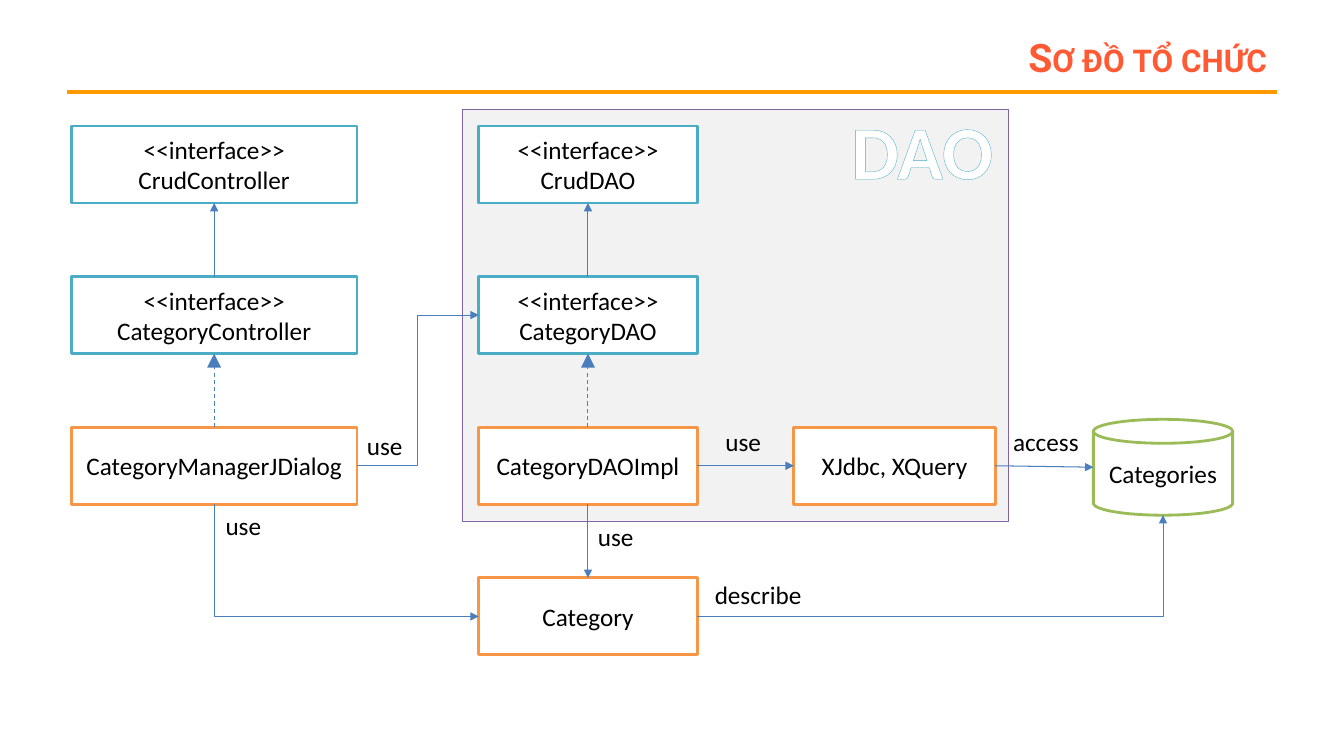
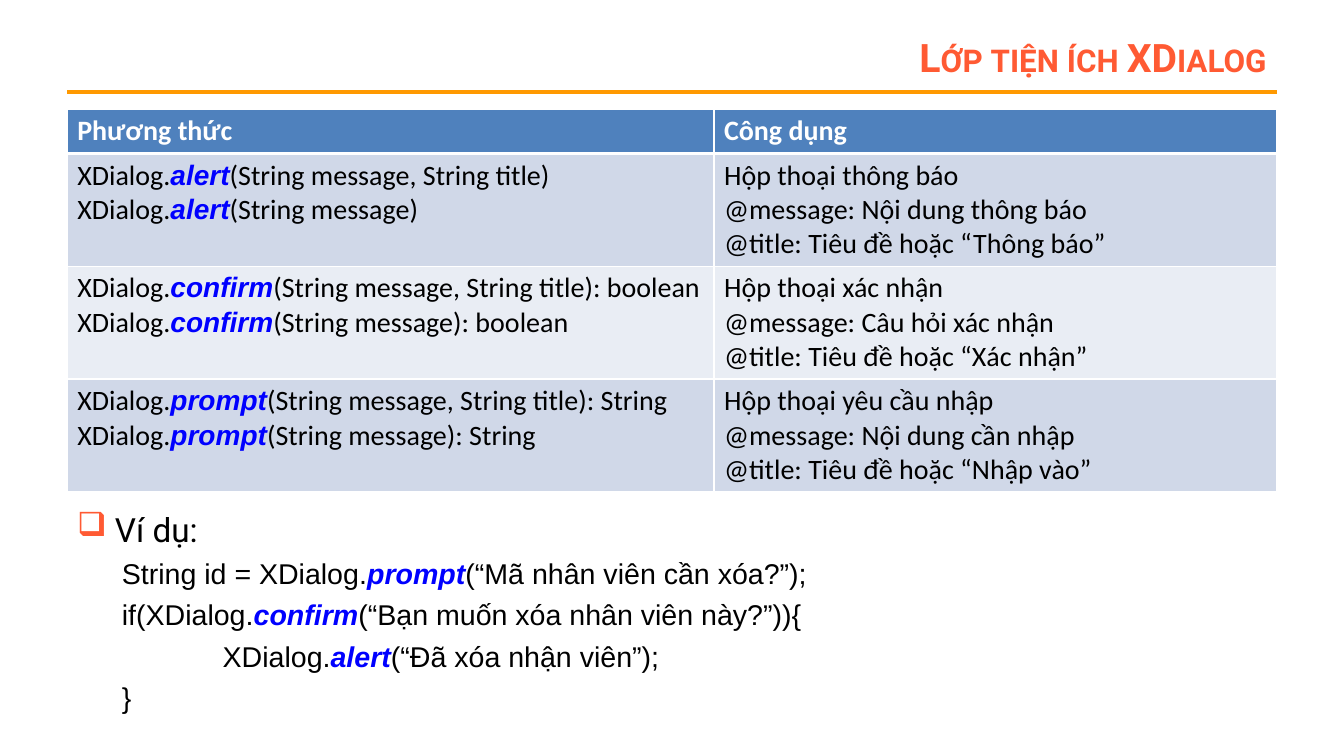
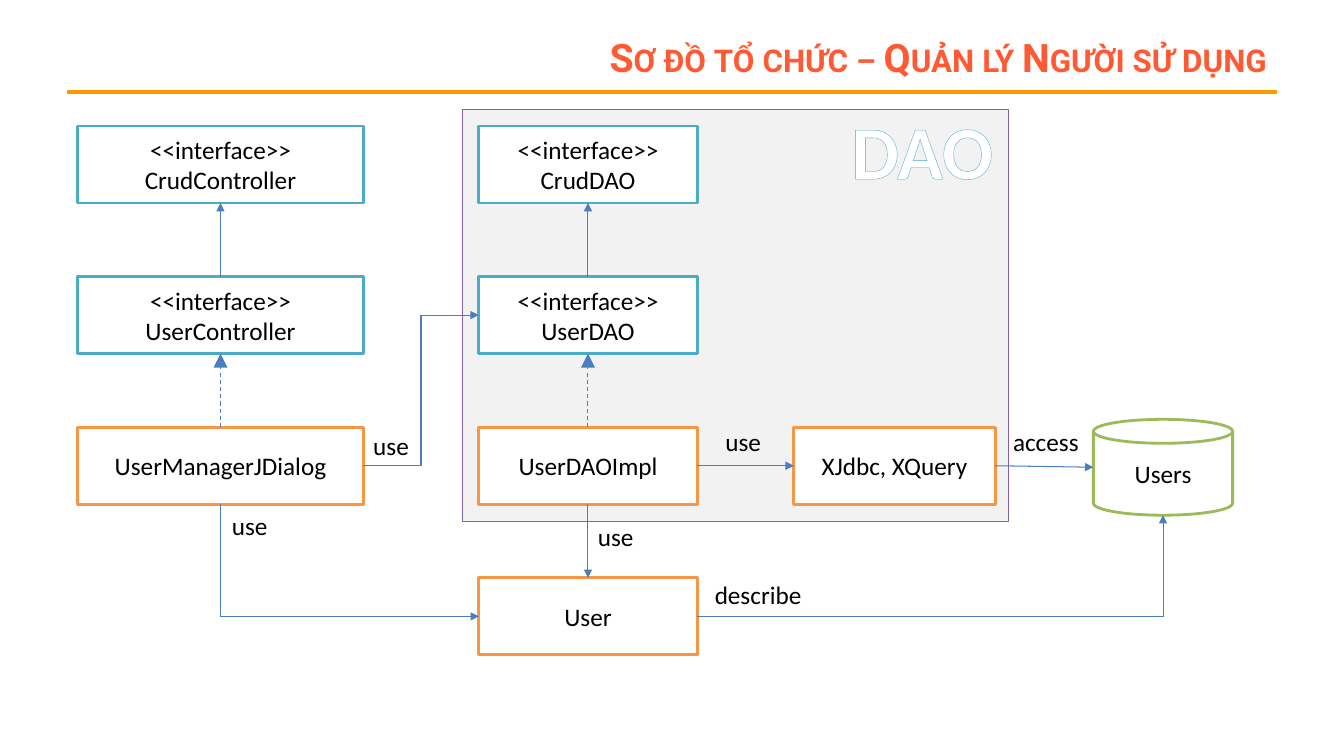
"""Build three slides: two DAO class diagrams and a dialog helper reference."""

import enum
from dataclasses import dataclass
from typing import NamedTuple

import lxml.etree
import pptx
import pptx.dml.color
import pptx.enum.dml
import pptx.enum.shapes
import pptx.enum.text
import pptx.oxml.ns
import pptx.presentation
import pptx.shapes.connector
import pptx.slide
import pptx.table
import pptx.text.text
import pptx.util

Pt = pptx.util.Pt
RGBColor = pptx.dml.color.RGBColor
Shapes = pptx.enum.shapes.MSO_SHAPE
Align = pptx.enum.text.PP_ALIGN
qn = pptx.oxml.ns.qn

BLACK = RGBColor(0x00, 0x00, 0x00)
WHITE = RGBColor(0xFF, 0xFF, 0xFF)
TITLE_RED = RGBColor(0xFF, 0x5A, 0x33)
RULE_ORANGE = RGBColor(0xFF, 0x99, 0x00)
INTERFACE_TEAL = RGBColor(0x4B, 0xAC, 0xC6)
CLASS_ORANGE = RGBColor(0xF7, 0x96, 0x46)
TABLE_GREEN = RGBColor(0x9B, 0xBB, 0x59)
PANEL_GREY = RGBColor(0xF2, 0xF2, 0xF2)
PANEL_PURPLE = RGBColor(0x80, 0x64, 0xA2)
ARROW_BLUE = RGBColor(0x4B, 0x7E, 0xBC)
METHOD_BLUE = RGBColor(0x00, 0x00, 0xFF)
HEADER_BLUE = RGBColor(0x4F, 0x81, 0xBD)
BAND_COLORS = (RGBColor(0xD0, 0xD8, 0xE8), RGBColor(0xE9, 0xED, 0xF4))

SLIDE_WIDTH, SLIDE_HEIGHT = 960, 540
CONTENT_LEFT, CONTENT_WIDTH = 48, 864
FIRST_ROW_TOP, ROW_STEP, BOX_HEIGHT = 90, 107.6, 55
INTERFACE = "<<interface>>"


@dataclass(frozen=True)
class TextStyle:
    font: str
    size: float
    color: RGBColor = BLACK
    bold: bool = False
    italic: bool = False
    small_caps: bool = False
    outline: RGBColor | None = None


TITLE_STYLE = TextStyle("Roboto", 28, TITLE_RED, bold=True, small_caps=True)
DIAGRAM_STYLE = TextStyle("Calibri", 18)
PANEL_STYLE = TextStyle("Calibri", 54, WHITE, bold=True, outline=INTERFACE_TEAL)
HEADER_STYLE = TextStyle("Calibri", 20, WHITE, bold=True)
CELL_STYLE = TextStyle("Calibri", 20)
CELL_METHOD_STYLE = TextStyle("Arial", 20, METHOD_BLUE, bold=True, italic=True)
EXAMPLE_STYLE = TextStyle("Roboto", 23.8)
CODE_STYLE = TextStyle("Arial", 20.4)
CODE_METHOD_STYLE = TextStyle("Arial", 20.4, METHOD_BLUE, bold=True, italic=True)


class Segment(NamedTuple):
    text: str
    style: TextStyle


Line = list[Segment]


class Point(NamedTuple):
    x: float
    y: float


class Box(NamedTuple):
    left: float
    top: float
    width: float
    height: float

    def anchor(self, across: float, down: float) -> Point:
        return Point(self.left + across * self.width, self.top + down * self.height)

    @property
    def north(self) -> Point:
        return self.anchor(0.5, 0)

    @property
    def south(self) -> Point:
        return self.anchor(0.5, 1)

    @property
    def west(self) -> Point:
        return self.anchor(0, 0.5)

    @property
    def east(self) -> Point:
        return self.anchor(1, 0.5)

    def lengths(self) -> tuple[pptx.util.Length, ...]:
        return tuple(Pt(value) for value in self)


class Route(enum.Enum):
    STRAIGHT = "line"
    ZIGZAG = "bentConnector3"
    ACROSS_THEN_UP = "bentConnector2"
    DOWN_THEN_ACROSS = "bentConnector2 turned"


class Node(NamedTuple):
    box: Box
    lines: tuple[str, ...]
    border: RGBColor
    preset: Shapes = Shapes.RECTANGLE


class Arrow(NamedTuple):
    start: Point
    end: Point
    route: Route = Route.STRAIGHT
    dashed: bool = False


class Label(NamedTuple):
    text: str
    left: float
    top: float
    width: float = 40


class Diagram(NamedTuple):
    title: str
    entity: str
    table: str
    left: float


class DialogMethod(NamedTuple):
    name: str
    returns: str
    purpose: str
    message: str
    default_title: str


DIAGRAMS = (
    Diagram("Sơ đồ tổ chức", "Category", "Categories", 51),
    Diagram("Sơ đồ tổ chức – Quản lý Người sử dụng", "User", "Users", 55.5),
)
DIALOG_METHODS = (
    DialogMethod("alert", "", "thông báo", "Nội dung thông báo", "Thông báo"),
    DialogMethod("confirm", ": boolean", "xác nhận", "Câu hỏi xác nhận", "Xác nhận"),
    DialogMethod("prompt", ": String", "yêu cầu nhập", "Nội dung cần nhập", "Nhập vào"),
)


def add_run(paragraph: pptx.text.text._Paragraph, segment: Segment) -> None:
    style = segment.style
    run = paragraph.add_run()
    run.text = segment.text
    run.font.name = style.font
    run.font.size = Pt(style.size)
    run.font.bold = style.bold
    run.font.italic = style.italic
    run.font.color.rgb = style.color
    properties = run._r.get_or_add_rPr()
    if style.small_caps:
        properties.set("cap", "small")
    if style.outline is not None:
        outline = lxml.etree.Element(qn("a:ln"), w=str(Pt(0.8)))
        add_solid_fill(outline, style.outline)
        properties.insert(0, outline)


def add_solid_fill(parent: lxml.etree._Element, color: RGBColor) -> None:
    fill = lxml.etree.SubElement(parent, qn("a:solidFill"))
    lxml.etree.SubElement(fill, qn("a:srgbClr"), val=str(color))


def write_lines(
    frame: pptx.text.text.TextFrame, lines: list[Line], alignment: Align = Align.LEFT
) -> None:
    for index, line in enumerate(lines):
        paragraph = frame.add_paragraph() if index else frame.paragraphs[0]
        paragraph.alignment = alignment
        for segment in line:
            add_run(paragraph, segment)


def add_text(
    slide: pptx.slide.Slide,
    box: Box,
    lines: list[Line],
    alignment: Align = Align.LEFT,
    wrap: bool = False,
) -> pptx.text.text.TextFrame:
    frame = slide.shapes.add_textbox(*box.lengths()).text_frame
    frame.word_wrap = wrap
    if not wrap:
        frame.auto_size = pptx.enum.text.MSO_AUTO_SIZE.SHAPE_TO_FIT_TEXT
    write_lines(frame, lines, alignment)
    return frame


def add_node(
    slide: pptx.slide.Slide, node: Node, fill: RGBColor = WHITE, border_width: float = 2
) -> None:
    shape = slide.shapes.add_shape(node.preset, *node.box.lengths())
    shape.shadow.inherit = False
    shape.fill.solid()
    shape.fill.fore_color.rgb = fill
    shape.line.color.rgb = node.border
    shape.line.width = Pt(border_width)
    shape.text_frame.vertical_anchor = pptx.enum.text.MSO_ANCHOR.MIDDLE
    lines = [[Segment(text, DIAGRAM_STYLE)] for text in node.lines]
    write_lines(shape.text_frame, lines, Align.CENTER)


def add_line(
    slide: pptx.slide.Slide, start: Point, end: Point, color: RGBColor, width: float, bent: bool = False
) -> pptx.shapes.connector.Connector:
    kinds = pptx.enum.shapes.MSO_CONNECTOR
    kind = kinds.ELBOW if bent else kinds.STRAIGHT
    connector = slide.shapes.add_connector(kind, *(Pt(value) for value in (*start, *end)))
    connector.line.color.rgb = color
    connector.line.width = Pt(width)
    lxml.etree.SubElement(connector.element.spPr, qn("a:effectLst"))
    return connector


def add_arrow(slide: pptx.slide.Slide, arrow: Arrow) -> None:
    start, end = arrow.start, arrow.end
    turned = arrow.route is Route.DOWN_THEN_ACROSS
    if turned:
        middle = Point((start.x + end.x) / 2, (start.y + end.y) / 2)
        reach = Point((end.y - start.y) / 2, (end.x - start.x) / 2)
        start = Point(middle.x - reach.x, middle.y - reach.y)
        end = Point(middle.x + reach.x, middle.y + reach.y)
    bent = arrow.route is not Route.STRAIGHT
    connector = add_line(slide, start, end, ARROW_BLUE, 0.75, bent)
    properties = connector.element.spPr
    if turned:
        properties.xfrm.set("rot", str(270 * 60000))
        properties.xfrm.set("flipH", "1")
    if turned or arrow.route is Route.ACROSS_THEN_UP:
        properties.find(qn("a:prstGeom")).set("prst", Route.ACROSS_THEN_UP.value)
    if arrow.dashed:
        connector.line.dash_style = pptx.enum.dml.MSO_LINE.DASH
    size = "lg" if arrow.dashed else "med"
    lxml.etree.SubElement(
        connector.get_or_add_ln(), qn("a:tailEnd"), type="triangle", w=size, len=size
    )


def add_titled_slide(presentation: pptx.presentation.Presentation, title: str) -> pptx.slide.Slide:
    slide = presentation.slides.add_slide(presentation.slide_layouts[6])
    right = CONTENT_LEFT + CONTENT_WIDTH
    add_line(slide, Point(CONTENT_LEFT, 66), Point(right, 66), RULE_ORANGE, 3)
    box = Box(176, 21.5, right - 176, 38)
    frame = add_text(slide, box, [[Segment(title, TITLE_STYLE)]], Align.RIGHT, wrap=True)
    frame.vertical_anchor = pptx.enum.text.MSO_ANCHOR.MIDDLE
    return slide


def add_diagram_slide(presentation: pptx.presentation.Presentation, diagram: Diagram) -> None:
    slide = add_titled_slide(presentation, diagram.title)
    entity = diagram.entity
    tops = [FIRST_ROW_TOP + ROW_STEP * row for row in range(4)]
    crud_controller, controller, manager = (
        Box(diagram.left, top, 204, BOX_HEIGHT) for top in tops[:3]
    )
    crud_dao, dao, dao_class, entity_class = (Box(342, top, 156, BOX_HEIGHT) for top in tops)
    query = Box(567, tops[2], 144, BOX_HEIGHT)
    database = Box(781, 299.5, 99.5, 68.5)

    add_node(slide, Node(Box(330, 78, 390, 294), (), PANEL_PURPLE), PANEL_GREY, 0.25)
    add_text(slide, Box(600.5, 70.5, 116.5, 72.5), [[Segment("DAO", PANEL_STYLE)]], Align.CENTER)
    nodes = (
        Node(crud_controller, (INTERFACE, "CrudController"), INTERFACE_TEAL),
        Node(controller, (INTERFACE, f"{entity}Controller"), INTERFACE_TEAL),
        Node(manager, (f"{entity}ManagerJDialog",), CLASS_ORANGE),
        Node(crud_dao, (INTERFACE, "CrudDAO"), INTERFACE_TEAL),
        Node(dao, (INTERFACE, f"{entity}DAO"), INTERFACE_TEAL),
        Node(dao_class, (f"{entity}DAOImpl",), CLASS_ORANGE),
        Node(entity_class, (entity,), CLASS_ORANGE),
        Node(query, ("XJdbc, XQuery",), CLASS_ORANGE),
        Node(database, (diagram.table,), TABLE_GREEN, Shapes.CAN),
    )
    arrows = (
        Arrow(controller.north, crud_controller.south),
        Arrow(manager.north, controller.south, dashed=True),
        Arrow(dao.north, crud_dao.south),
        Arrow(dao_class.north, dao.south, dashed=True),
        Arrow(dao_class.south, entity_class.north),
        Arrow(dao_class.east, query.west),
        Arrow(query.east, database.west),
        Arrow(manager.east, dao.west, Route.ZIGZAG),
        Arrow(manager.south, entity_class.west, Route.DOWN_THEN_ACROSS),
        Arrow(entity_class.east, database.south, Route.ACROSS_THEN_UP),
    )
    labels = (
        Label("use", manager.east.x, 304),
        Label("use", manager.south.x + 1, 361),
        Label("use", dao_class.south.x, 368.5),
        Label("use", 511, 301),
        Label("describe", 503.5, 410.5, 77),
        Label("access", 716.5, 301, 62),
    )
    for node in nodes:
        add_node(slide, node)
    for arrow in arrows:
        add_arrow(slide, arrow)
    for label in labels:
        box = Box(label.left, label.top, label.width, 29)
        add_text(slide, box, [[Segment(label.text, DIAGRAM_STYLE)]])


def call_line(before: str, method: str, after: str, plain: TextStyle, strong: TextStyle) -> Line:
    return [Segment(f"{before}XDialog.", plain), Segment(method, strong), Segment(after, plain)]


def fill_cell(
    cell: pptx.table._Cell, lines: list[Line], fill: RGBColor, top: float, bottom: float
) -> None:
    write_lines(cell.text_frame, lines)
    properties = cell._tc.get_or_add_tcPr()
    for side, width in (("L", 1), ("R", 1), ("T", top), ("B", bottom)):
        border = lxml.etree.SubElement(properties, qn(f"a:ln{side}"), w=str(Pt(width)))
        add_solid_fill(border, WHITE)
    cell.fill.solid()
    cell.fill.fore_color.rgb = fill


def method_cells(method: DialogMethod) -> list[list[Line]]:
    signatures = [
        call_line("", method.name, f"({arguments}){method.returns}", CELL_STYLE, CELL_METHOD_STYLE)
        for arguments in ("String message, String title", "String message")
    ]
    descriptions = (
        f"Hộp thoại {method.purpose}",
        f"@message: {method.message}",
        f"@title: Tiêu đề hoặc “{method.default_title}”",
    )
    return [signatures, [[Segment(text, CELL_STYLE)] for text in descriptions]]


def add_method_table(slide: pptx.slide.Slide) -> None:
    header = [[[Segment(text, HEADER_STYLE)]] for text in ("Phương thức", "Công dụng")]
    rows = [header, *(method_cells(method) for method in DIALOG_METHODS)]
    box = Box(CONTENT_LEFT, 78, CONTENT_WIDTH, 273.4)
    table = slide.shapes.add_table(len(rows), 2, *box.lengths()).table
    for column, width in zip(table.columns, (462, 402)):
        column.width = Pt(width)
    for index, cells in enumerate(rows):
        table.rows[index].height = Pt(80.6 if index else 31.6)
        fill = BAND_COLORS[(index - 1) % 2] if index else HEADER_BLUE
        top, bottom = (3 if index == 1 else 1), (1 if index else 3)
        for column_index, lines in enumerate(cells):
            fill_cell(table.cell(index, column_index), lines, fill, top, bottom)


def add_code_example(slide: pptx.slide.Slide) -> None:
    calls = (
        ("String id = ", "prompt", "(“Mã nhân viên cần xóa?”);"),
        ("if(", "confirm", "(“Bạn muốn xóa nhân viên này?”)){"),
        ("", "alert", "(“Đã xóa nhận viên”);"),
    )
    code = [call_line(*call, CODE_STYLE, CODE_METHOD_STYLE) for call in calls]
    lines = [[Segment("Ví dụ:", EXAMPLE_STYLE)], *code, [Segment("}", CODE_STYLE)]]
    box = Box(CONTENT_LEFT, 360, CONTENT_WIDTH, 138)
    heading, *code_paragraphs = add_text(slide, box, lines, wrap=True).paragraphs
    properties = heading._p.get_or_add_pPr()
    properties.set("marL", str(Pt(27)))
    properties.set("indent", str(Pt(-27)))
    bullet_color = lxml.etree.SubElement(properties, qn("a:buClr"))
    lxml.etree.SubElement(bullet_color, qn("a:srgbClr"), val=str(TITLE_RED))
    lxml.etree.SubElement(properties, qn("a:buChar"), char="❑")
    for paragraph, indent in zip(code_paragraphs, (32, 32, 104, 32)):
        paragraph.space_before = Pt(5)
        paragraph._p.get_or_add_pPr().set("marL", str(Pt(indent)))


def main() -> None:
    presentation = pptx.Presentation()
    presentation.slide_width = Pt(SLIDE_WIDTH)
    presentation.slide_height = Pt(SLIDE_HEIGHT)
    category_diagram, user_diagram = DIAGRAMS
    add_diagram_slide(presentation, category_diagram)
    dialog_slide = add_titled_slide(presentation, "Lớp tiện ích XDialog")
    add_method_table(dialog_slide)
    add_code_example(dialog_slide)
    add_diagram_slide(presentation, user_diagram)
    presentation.save("out.pptx")


if __name__ == "__main__":
    main()
